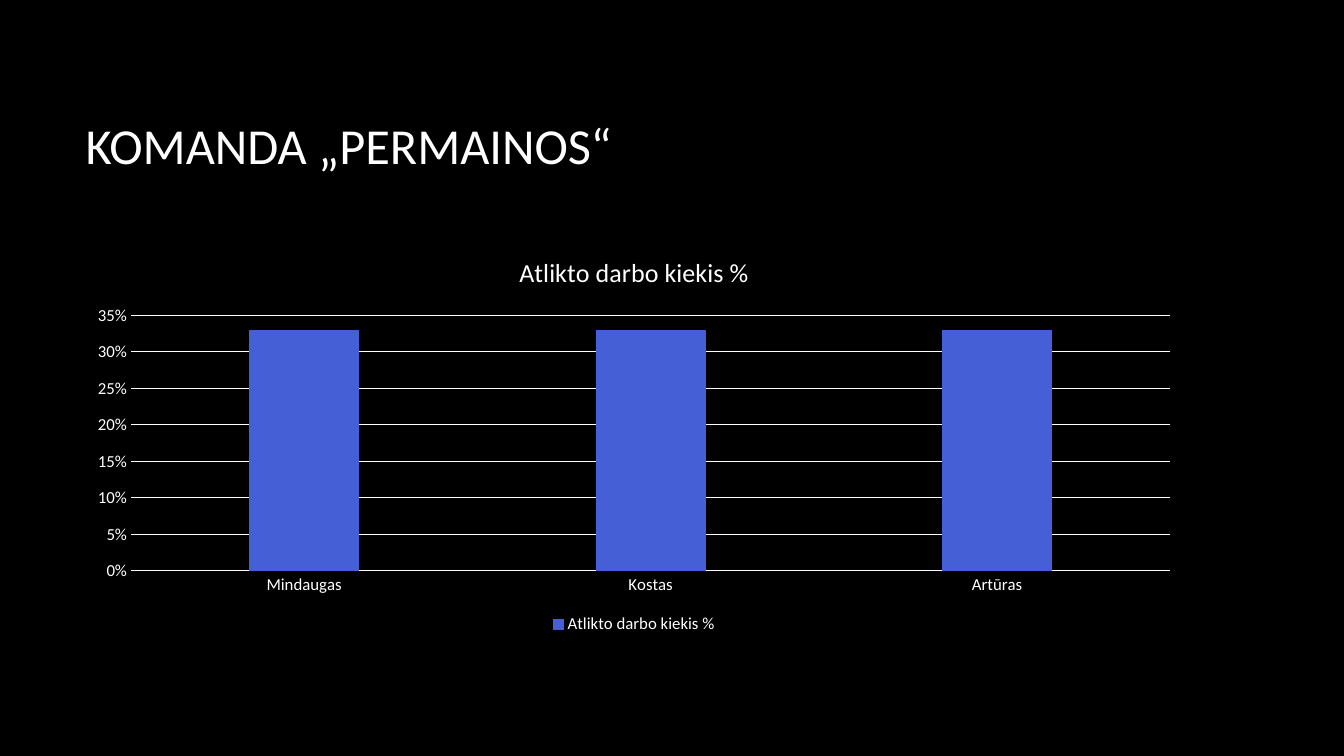
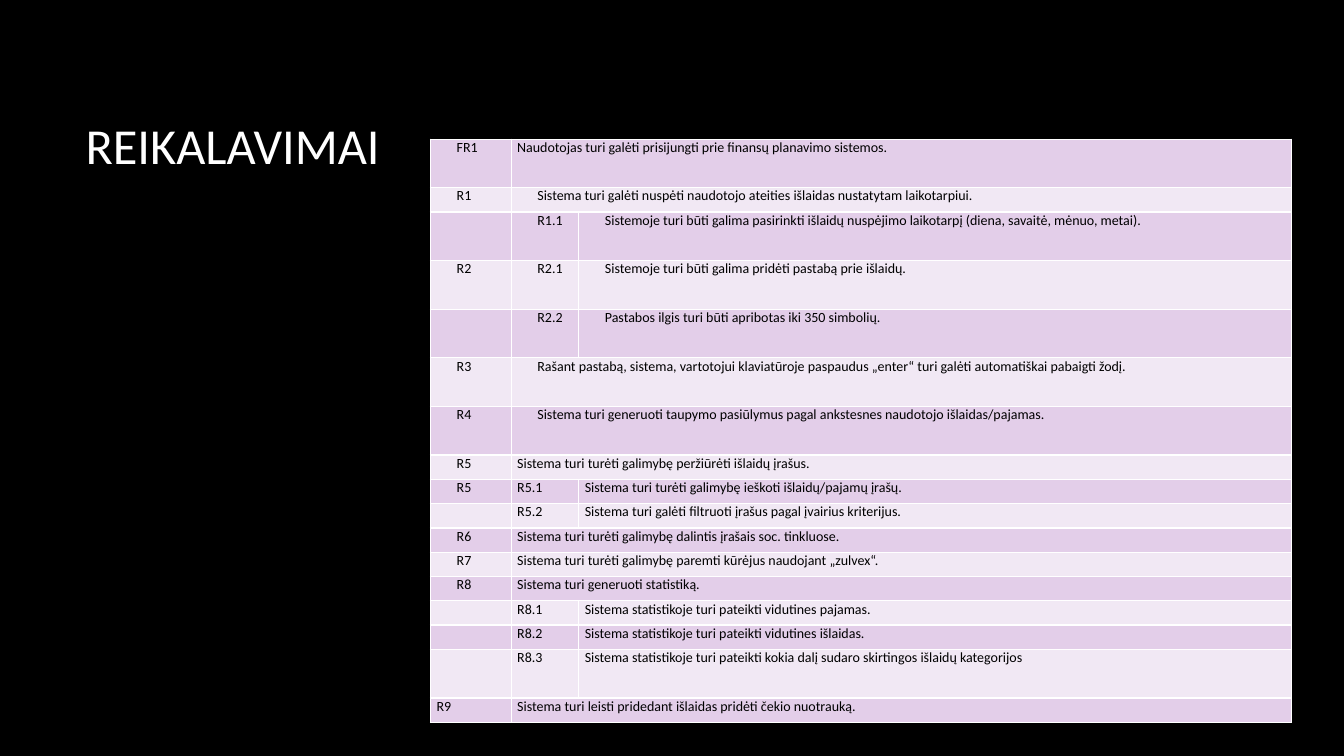
from dataclasses import dataclass

import lxml.etree
import pptx
import pptx.chart.data
import pptx.dml.color
import pptx.enum.chart
import pptx.enum.text
import pptx.oxml.ns
import pptx.util
from pptx.util import Inches

WHITE = pptx.dml.color.RGBColor(0xFF, 0xFF, 0xFF)
BLACK = pptx.dml.color.RGBColor(0x00, 0x00, 0x00)
BLUE = pptx.dml.color.RGBColor(0x45, 0x5F, 0xD6)
BANDS = (
    pptx.dml.color.RGBColor(0xE3, 0xCE, 0xE9),
    pptx.dml.color.RGBColor(0xF1, 0xE8, 0xF4),
)
FACE = "Calibri"
LEFT, WIDTH = Inches(0.75), Inches(11.08)
WIDTHS = (0.8, 0.67, 7.07)
UNIT = 5.79 / 24


@dataclass(frozen=True)
class Rule:
    code: str
    sub: str
    text: str
    lines: int = 1
    dent: bool = False
    lead: bool = True


RULES = (
    Rule("FR1", "", "Naudotojas turi galėti prisijungti prie finansų planavimo sistemos. ", 2),
    Rule("R1", "", "Sistema turi galėti nuspėti naudotojo ateities išlaidas nustatytam laikotarpiui.", 1, True),
    Rule("", "R1.1", "Sistemoje turi būti galima pasirinkti išlaidų nuspėjimo laikotarpį (diena, savaitė, mėnuo, metai).", 2, True),
    Rule("R2", "R2.1", "Sistemoje turi būti galima pridėti pastabą prie išlaidų.", 2, True),
    Rule("", "R2.2", "Pastabos ilgis turi būti apribotas iki 350 simbolių.", 2, True),
    Rule("R3", "", "Rašant pastabą, sistema, vartotojui klaviatūroje paspaudus „enter“ turi galėti automatiškai pabaigti žodį.", 2, True),
    Rule("R4", "", "Sistema turi generuoti taupymo pasiūlymus pagal ankstesnes naudotojo išlaidas/pajamas.", 2, True),
    Rule("R5", "", "Sistema turi turėti galimybę peržiūrėti išlaidų įrašus."),
    Rule("R5", "R5.1", "Sistema turi turėti galimybę ieškoti išlaidų/pajamų įrašų."),
    Rule("", "R5.2", "Sistema turi galėti filtruoti įrašus pagal įvairius kriterijus."),
    Rule("R6", "", "Sistema turi turėti galimybę dalintis įrašais soc. tinkluose."),
    Rule("R7", "", "Sistema turi turėti galimybę paremti kūrėjus naudojant „zulvex“."),
    Rule("R8", "", "Sistema turi generuoti statistiką."),
    Rule("", "R8.1", "Sistema statistikoje turi pateikti vidutines pajamas."),
    Rule("", "R8.2", "Sistema statistikoje turi pateikti vidutines išlaidas."),
    Rule("", "R8.3", "Sistema statistikoje turi pateikti kokia dalį sudaro skirtingos išlaidų kategorijos", 2),
    Rule("R9", "", "Sistema turi leisti pridedant išlaidas pridėti čekio nuotrauką.", lead=False),
)


def set_font(font, size: float, color: pptx.dml.color.RGBColor) -> None:
    font.name = FACE
    font.size = pptx.util.Pt(size)
    font.color.rgb = color
    font.bold = False


def add_page(deck, title: str):
    page = deck.slides.add_slide(deck.slide_layouts[6])
    page.background.fill.solid()
    page.background.fill.fore_color.rgb = BLACK
    frame = page.shapes.add_textbox(LEFT, Inches(0.67), WIDTH, Inches(1.59)).text_frame
    frame.word_wrap = True
    frame.vertical_anchor = pptx.enum.text.MSO_ANCHOR.MIDDLE
    frame.text = title
    frame.paragraphs[0].line_spacing = 0.9
    set_font(frame.paragraphs[0].runs[0].font, 36, WHITE)
    return page


def set_line(line, color: pptx.dml.color.RGBColor) -> None:
    line.color.rgb = color
    line.width = pptx.util.Pt(0.75)


def add_chart(page) -> None:
    name = "Atlikto darbo kiekis %"
    data = pptx.chart.data.CategoryChartData(number_format="0%")
    data.categories = ("Mindaugas", "Kostas", "Artūras")
    data.add_series(name, (0.33, 0.33, 0.33))
    kind = pptx.enum.chart.XL_CHART_TYPE.COLUMN_CLUSTERED
    chart = page.shapes.add_chart(kind, LEFT, Inches(2.34), WIDTH, Inches(3.99), data).chart
    set_font(chart.font, 10, WHITE)

    chart.has_title = True
    chart.chart_title.include_in_layout = False
    frame = chart.chart_title.text_frame
    frame.text = name
    set_font(frame.paragraphs[0].runs[0].font, 18.6, WHITE)

    chart.has_legend = True
    chart.legend.position = pptx.enum.chart.XL_LEGEND_POSITION.BOTTOM
    chart.legend.include_in_layout = False
    set_font(chart.legend.font, 12, WHITE)

    base, scale = chart.category_axis, chart.value_axis
    for axis in (base, scale):
        axis.major_tick_mark = pptx.enum.chart.XL_TICK_MARK.NONE
        axis.minor_tick_mark = pptx.enum.chart.XL_TICK_MARK.NONE
        set_font(axis.tick_labels.font, 12, WHITE)
    set_line(base.format.line, WHITE)
    scale.format.line.fill.background()
    scale.minimum_scale, scale.maximum_scale, scale.major_unit = 0, 0.35, 0.05
    scale.tick_labels.number_format = "0%"
    scale.tick_labels.number_format_is_linked = False
    scale.has_major_gridlines = True
    set_line(scale.major_gridlines.format.line, WHITE)

    plot = chart.plots[0]
    plot.gap_width, plot.overlap, plot.vary_by_categories = 219, -27, False
    bars = plot.series[0].format
    bars.fill.solid()
    bars.fill.fore_color.rgb = BLUE
    set_line(bars.line, BLUE)


def add_edges(cell) -> None:
    qn = pptx.oxml.ns.qn
    props = cell._tc.get_or_add_tcPr()
    for spot, side in enumerate(("a:lnL", "a:lnR", "a:lnT", "a:lnB")):
        edge = lxml.etree.Element(qn(side), w=str(pptx.util.Pt(1)))
        fill = lxml.etree.SubElement(edge, qn("a:solidFill"))
        lxml.etree.SubElement(fill, qn("a:srgbClr"), val=str(WHITE))
        props.insert(spot, edge)


def fill_cell(cell, text: str, dent: bool, color: pptx.dml.color.RGBColor) -> None:
    cell.margin_left = cell.margin_right = Inches(0.06)
    cell.margin_top = cell.margin_bottom = 0
    cell.fill.solid()
    cell.fill.fore_color.rgb = color
    add_edges(cell)
    cell.text_frame.text = text
    para = cell.text_frame.paragraphs[0]
    para.alignment = pptx.enum.text.PP_ALIGN.JUSTIFY
    if dent:
        para._p.get_or_add_pPr().set("indent", str(Inches(0.2)))
    for run in para.runs:
        set_font(run.font, 10, BLACK)
    if not text:
        lxml.etree.SubElement(para._p, pptx.oxml.ns.qn("a:endParaRPr"), sz="1000")


def add_rules(page) -> None:
    table = page.shapes.add_table(
        len(RULES), len(WIDTHS), Inches(4.27), Inches(1.38), Inches(sum(WIDTHS)), Inches(5.79)
    ).table
    table.first_row = table.horz_banding = False
    for column, width in zip(table.columns, WIDTHS):
        column.width = Inches(width)
    for index, rule in enumerate(RULES):
        table.rows[index].height = Inches(UNIT * rule.lines)
        texts = (rule.code, rule.sub, rule.text) if rule.sub else (rule.code, rule.text, "")
        dents = (rule.lead, rule.dent, rule.dent)
        for spot, (text, dent) in enumerate(zip(texts, dents)):
            fill_cell(table.cell(index, spot), text, dent, BANDS[index % 2])
        if not rule.sub:
            table.cell(index, 1).merge(table.cell(index, 2))


def main() -> None:
    deck = pptx.Presentation()
    deck.slide_width, deck.slide_height = Inches(13.33), Inches(7.5)
    add_chart(add_page(deck, "KOMANDA „PERMAINOS“"))
    add_rules(add_page(deck, "REIKALAVIMAI"))
    deck.save("out.pptx")


if __name__ == "__main__":
    main()
